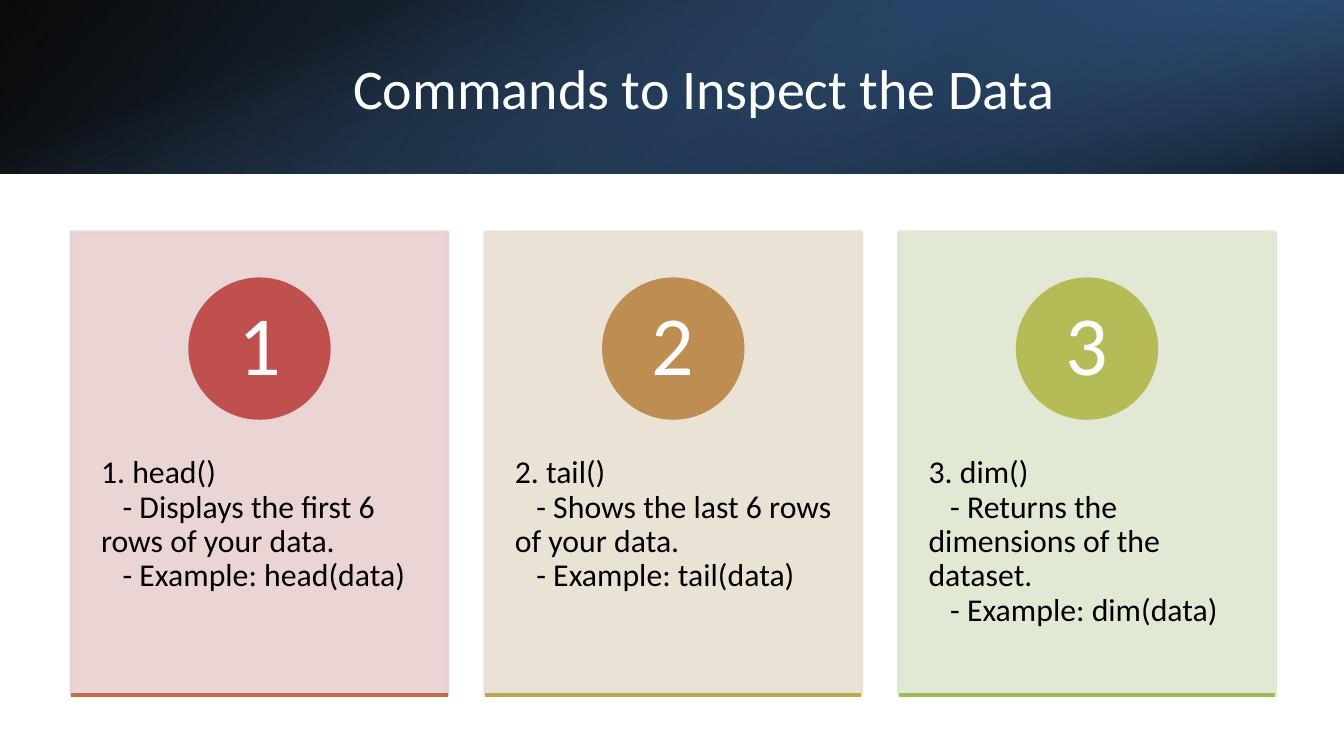
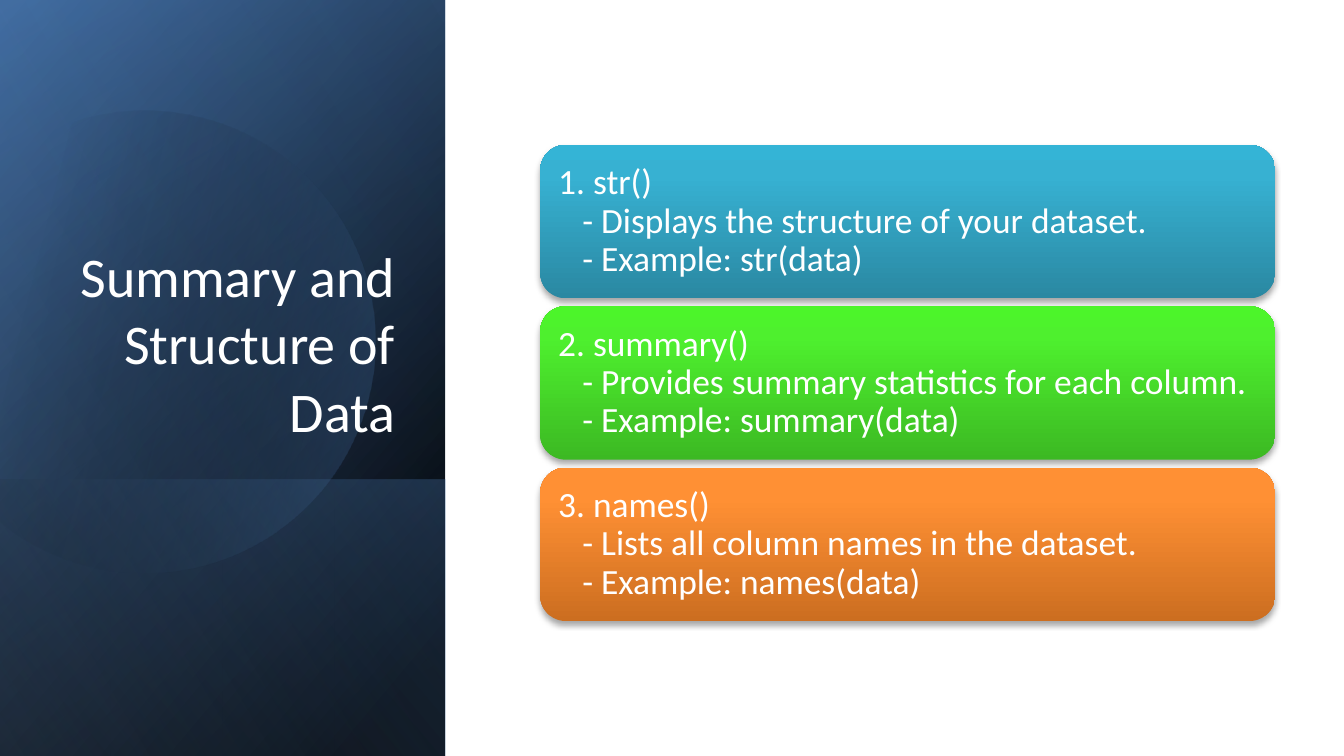
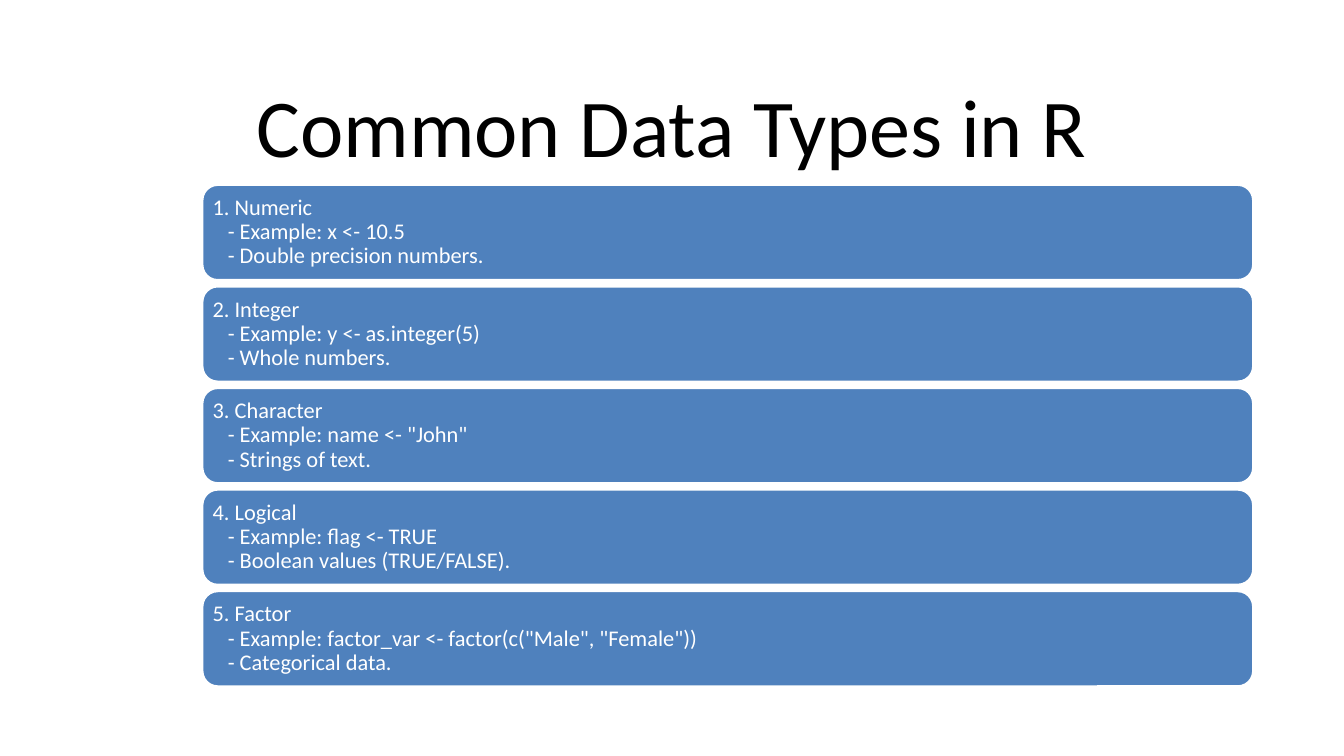
from math import cos, radians, sin

from lxml.etree import SubElement
from pptx import Presentation
from pptx.dml.color import RGBColor
from pptx.enum.shapes import MSO_CONNECTOR, MSO_SHAPE
from pptx.enum.text import MSO_ANCHOR, MSO_AUTO_SIZE, PP_ALIGN
from pptx.oxml import parse_xml
from pptx.oxml.ns import nsdecls, qn
from pptx.util import Cm, Pt

FONT = "Calibri"
WHITE, BLACK = "FFFFFF", "000000"
BLUE, DEEP_BLUE, NAVY, PALE_BLUE = "4F81BD", "376092", "254061", "95B3D7"
SLIDE_WIDTH, SLIDE_HEIGHT = 25.4, 14.29
BAND_HEIGHT, PANEL_WIDTH = 3.28, 8.41

INSPECT_CARDS = [
    (["1. head()", "- Displays the first 6 rows of your data.", "- Example: head(data)"],
     "E8D0D0", "C0504D", "BF6F4F"),
    (["2. tail()", "- Shows the last 6 rows of your data.", "- Example: tail(data)"],
     "E8E1D1", "BE8D52", "BDA954"),
    (["3. dim()", "- Returns the dimensions of the dataset.", "- Example: dim(data)"],
     "DEE7D1", "B5BC57", "9BBB59"),
]
SUMMARY_CARDS = [
    (["1. str()", "- Displays the structure of your dataset.", "- Example: str(data)"],
     ["2A88A2", "37B1D2", "34B4D6"]),
    (["2. summary()", "- Provides summary statistics for each column.", "- Example: summary(data)"],
     ["3CB923", "4EF02E", "4CF52A"]),
    (["3. names()", "- Lists all column names in the dataset.", "- Example: names(data)"],
     ["CC6E20", "FF9034", "FF9136"]),
]
DATA_TYPES = [
    ["1. Numeric", "- Example: x <- 10.5", "- Double precision numbers."],
    ["2. Integer", "- Example: y <- as.integer(5)", "- Whole numbers."],
    ["3. Character", '- Example: name <- "John"', "- Strings of text."],
    ["4. Logical", "- Example: flag <- TRUE", "- Boolean values (TRUE/FALSE)."],
    ["5. Factor", '- Example: factor_var <- factor(c("Male", "Female"))', "- Categorical data."],
]


def rgb(color):
    """Turn a hex string into a colour."""
    return RGBColor.from_string(color)


def fill_solid(shape, color, opacity=100, line_width=2, line_color=None):
    """Give a shape a plain fill and an outline."""
    shape.fill.solid()
    shape.fill.fore_color.rgb = rgb(color)
    shape.line.color.rgb = rgb(line_color or color)
    shape.line.width = Pt(line_width)
    if opacity < 100:
        for solid_color in shape.element.spPr.iter(qn("a:srgbClr")):
            SubElement(solid_color, qn("a:alpha"), val=str(opacity * 1000))


def fill_gradient(shape, stops, angle):
    """Fill a shape with (position, colour, opacity) stops and no outline."""
    stops_xml = "".join(
        f'<a:gs pos="{position * 1000}"><a:srgbClr val="{color}">'
        f'<a:alpha val="{opacity * 1000}"/></a:srgbClr></a:gs>'
        for position, color, opacity in stops)
    gradient = parse_xml(
        f'<a:gradFill {nsdecls("a")} rotWithShape="1"><a:gsLst>{stops_xml}</a:gsLst>'
        f'<a:lin ang="{angle * 60000}" scaled="0"/></a:gradFill>')
    shape.fill.solid()
    properties = shape.element.spPr
    properties.replace(properties.find(qn("a:solidFill")), gradient)
    shape.line.fill.background()


def add_soft_shadow(shape):
    """Put a soft shadow below a shape."""
    effects = shape.element.spPr.find(qn("a:effectLst"))
    shadow = SubElement(effects, qn("a:outerShdw"), blurRad=str(Pt(3.1)),
                        dist=str(Pt(1.8)), dir="5400000", rotWithShape="0")
    color = SubElement(shadow, qn("a:srgbClr"), val=BLACK)
    SubElement(color, qn("a:alpha"), val="35000")


def add_shape(slide, kind, left, top, width, height):
    """Add a preset shape without the theme shadow."""
    shape = slide.shapes.add_shape(kind, Cm(left), Cm(top), Cm(width), Cm(height))
    shape.shadow.inherit = False
    return shape


def write_text(shape, lines, size, color=WHITE, align=PP_ALIGN.LEFT,
               anchor=MSO_ANCHOR.MIDDLE, spacing=0.9, insets=(0.2, 0.2, 0.2, 0.2)):
    """Write lines as paragraphs, indenting the first line of dashed items."""
    frame = shape.text_frame
    frame.word_wrap = True
    frame.auto_size = MSO_AUTO_SIZE.NONE
    frame.vertical_anchor = anchor
    frame.margin_left, frame.margin_top, frame.margin_right, frame.margin_bottom = map(Cm, insets)
    for index, line in enumerate(lines):
        paragraph = frame.add_paragraph() if index else frame.paragraphs[0]
        paragraph.alignment = align
        paragraph.line_spacing = spacing
        if line.startswith("- "):
            paragraph_properties = paragraph._p.get_or_add_pPr()
            paragraph_properties.set("marL", "0")
            paragraph_properties.set("indent", str(Pt(size * 0.68)))
        run = paragraph.add_run()
        run.text = line
        run.font.name = FONT
        run.font.size = Pt(size)
        run.font.color.rgb = rgb(color)


def place_title(slide, text, left, top, width, height, size=30, color=WHITE, **text_format):
    """Move the title placeholder to the front, place it and format it."""
    title = slide.shapes.title
    title.element.getparent().append(title.element)
    title.left, title.top, title.width, title.height = map(Cm, (left, top, width, height))
    text_format = {"align": PP_ALIGN.CENTER, **text_format}
    write_text(title, [text], size, color, spacing=1, insets=(0.25, 0.13, 0.25, 0.13), **text_format)


def add_band(slide, left, top, width, height, stops, angle, rotation=0, flip=True):
    """Add a gradient band that covers the given area after its rotation."""
    if rotation == 90:
        left, top = left + (width - height) / 2, top + (height - width) / 2
        width, height = height, width
    band = add_shape(slide, MSO_SHAPE.RECTANGLE, left, top, width, height)
    band.rotation = rotation
    if flip:
        band.element.spPr.find(qn("a:xfrm")).set("flipH", "1")
    fill_gradient(band, stops, angle)


def add_disc(slide):
    """Add the translucent disc, cut off at the left edge of the panel."""
    center_x, center_y, radius = 2.72, 6.38, 4.37
    points = [(Cm(center_x + radius * cos(radians(degrees))),
               Cm(center_y + radius * sin(radians(degrees))))
              for degrees in range(-117, 151, 3)]
    builder = slide.shapes.build_freeform(*points[0])
    builder.add_line_segments(points[1:], close=True)
    disc = builder.convert_to_shape()
    disc.shadow.inherit = False
    disc.rotation = 343.9
    fill_gradient(disc, [(29, BLACK, 0), (100, BLUE, 43)], 30)


def add_rule(slide, left, top, width, color):
    """Add a horizontal line."""
    rule = slide.shapes.add_connector(
        MSO_CONNECTOR.STRAIGHT, Cm(left), Cm(top), Cm(left + width), Cm(top))
    rule.line.color.rgb = rgb(color)
    rule.line.width = Pt(2)
    SubElement(rule.element.spPr, qn("a:effectLst"))


def add_numbered_card(slide, number, left, lines, card_color, circle_color, rule_color):
    """Add a tinted card with a numbered circle and a rule at its foot."""
    top, width, height, diameter = 4.39, 7.11, 8.74, 2.62
    card = add_shape(slide, MSO_SHAPE.RECTANGLE, left, top, width, height)
    fill_solid(card, card_color, opacity=90)
    write_text(card, lines, 17, BLACK, anchor=MSO_ANCHOR.TOP, insets=(0.56, 4.24, 0.56, 0.2))
    circle = add_shape(slide, MSO_SHAPE.OVAL, left + (width - diameter) / 2, top + 0.89,
                       diameter, diameter)
    fill_solid(circle, circle_color)
    write_text(circle, [str(number)], 45, align=PP_ALIGN.CENTER, insets=(0.2, 0.03, 0.2, 0.03))
    add_rule(slide, left, top + height, width, rule_color)


def build_inspect_slide(slide):
    """Build the slide on inspecting data."""
    add_band(slide, 0, 0, SLIDE_WIDTH, BAND_HEIGHT, [(0, BLACK, 96), (100, DEEP_BLUE, 100)], 140)
    add_band(slide, 16.93, 0, 8.47, BAND_HEIGHT, [(19, NAVY, 68), (100, BLUE, 79)], 320,
             rotation=180)
    add_band(slide, 0, 0, SLIDE_WIDTH, BAND_HEIGHT, [(23, BLUE, 0), (99, BLACK, 74)], 340,
             rotation=90, flip=False)
    place_title(slide, "Commands to Inspect the Data", 2.84, 0.74, 20.93, 1.83)
    for index, card in enumerate(INSPECT_CARDS):
        add_numbered_card(slide, index + 1, 1.35 + index * 7.82, *card)


def build_summary_slide(slide):
    """Build the slide on summary and structure."""
    panel = (0, 0, PANEL_WIDTH, SLIDE_HEIGHT)
    foot = (0, 9.07, PANEL_WIDTH, 5.22)
    add_band(slide, *panel, [(8, BLACK, 100), (100, DEEP_BLUE, 100)], 50, rotation=90)
    add_band(slide, *panel, [(0, BLACK, 0), (99, BLUE, 46)], 30, rotation=90)
    add_band(slide, *foot, [(2, BLUE, 29), (100, BLACK, 30)], 130, rotation=90)
    add_disc(slide)
    add_band(slide, *panel, [(0, BLACK, 0), (99, PALE_BLUE, 11)], 120, rotation=90)
    place_title(slide, "Summary and Structure of Data", 1.22, 3.5, 6.5, 5.01,
                align=PP_ALIGN.RIGHT, anchor=MSO_ANCHOR.BOTTOM)
    for index, (lines, colors) in enumerate(SUMMARY_CARDS):
        card = add_shape(slide, MSO_SHAPE.ROUNDED_RECTANGLE, 10.21, 2.74 + index * 3.05, 13.89, 2.9)
        fill_gradient(card, zip((0, 80, 100), colors, (100, 100, 100)), 270)
        add_soft_shadow(card)
        write_text(card, lines, 19)


def build_types_slide(slide):
    """Build the slide on data types."""
    place_title(slide, "Common Data Types in R", 1.27, 0.76, 22.86, 3.18, size=44, color=BLACK)
    for index, lines in enumerate(DATA_TYPES):
        card = add_shape(slide, MSO_SHAPE.ROUNDED_RECTANGLE, 3.81, 3.48 + index * 1.92, 19.89, 1.83)
        fill_solid(card, BLUE, line_color=WHITE)
        write_text(card, lines, 12, insets=(0.12, 0.12, 0.12, 0.12))


def main():
    """Build the presentation and save it."""
    presentation = Presentation()
    presentation.slide_width, presentation.slide_height = Cm(SLIDE_WIDTH), Cm(SLIDE_HEIGHT)
    title_only = presentation.slide_layouts[5]
    for build_slide in (build_inspect_slide, build_summary_slide, build_types_slide):
        build_slide(presentation.slides.add_slide(title_only))
    presentation.save("out.pptx")


if __name__ == "__main__":
    main()
